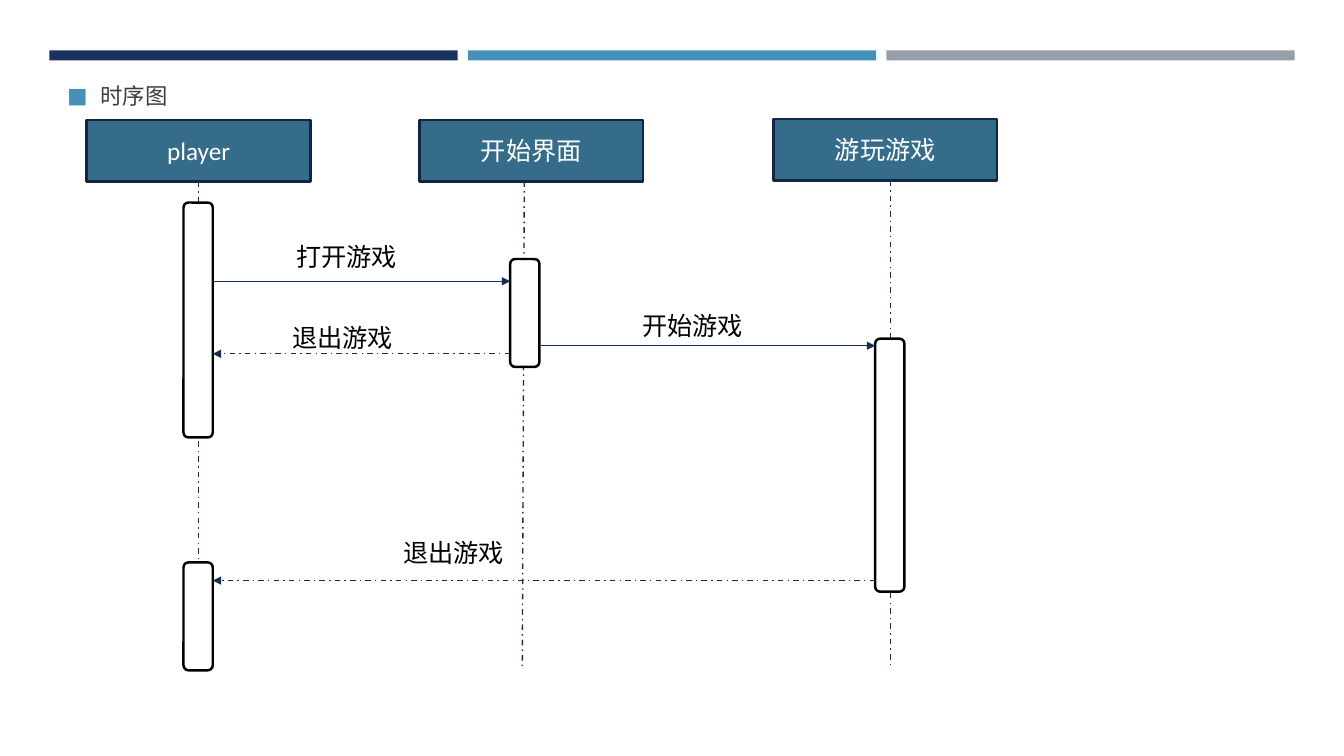
from lxml.etree import SubElement
from pptx import Presentation
from pptx.dml.color import RGBColor
from pptx.enum.dml import MSO_LINE
from pptx.enum.shapes import MSO_CONNECTOR, MSO_SHAPE
from pptx.enum.text import MSO_ANCHOR, PP_ALIGN
from pptx.oxml.ns import qn
from pptx.util import Inches, Pt

COLORS = {
    "navy": "1A3260", "blue": "4590B8", "grey": "969FA7",
    "head": "346C8A", "edge": "132547", "line": "172D56",
    "text": "3D3D3D", "black": "000000", "white": "FFFFFF",
}
CJK = "Noto Sans CJK SC"
LABEL = {"name": "Calibri", "size": Pt(18)}
TITLE = {"name": CJK, "size": Pt(16)}
MIDDLE = {"word_wrap": True, "vertical_anchor": MSO_ANCHOR.MIDDLE}
TOP = {"word_wrap": True, "vertical_anchor": MSO_ANCHOR.TOP}

BAR_W = 0.29
HEAD_W, HEAD_H = 2.22, 0.61
LIFE_END = 6.64


def rgb(name):
    return RGBColor.from_string(COLORS[name])


def apply(target, values):
    for key, value in values.items():
        setattr(target, key, value)


def write(shape, text, color, font=LABEL, frame=MIDDLE, align=PP_ALIGN.CENTER):
    apply(shape.text_frame, frame)
    para = shape.text_frame.paragraphs[0]
    para.alignment = align
    run = para.add_run()
    run.text = text
    apply(run.font, font)
    run.font.color.rgb = rgb(color)
    SubElement(run.font._element, qn("a:ea"), typeface=CJK)
    return para


def add_box(slide, kind, place, fill, edge=None):
    box = slide.shapes.add_shape(kind, *map(Inches, place))
    box.shadow.inherit = False
    box.fill.solid()
    box.fill.fore_color.rgb = rgb(fill)
    if edge:
        box.line.color.rgb = rgb(edge)
        box.line.width = Pt(1.75)
    else:
        box.line.fill.background()
    return box


def add_text(slide, place, text, color, **style):
    box = slide.shapes.add_textbox(*map(Inches, place))
    return write(box, text, color, **style)


def add_line(slide, start, end, dashed=False, arrow=False):
    ends = map(Inches, (*start, *end))
    link = slide.shapes.add_connector(MSO_CONNECTOR.STRAIGHT, *ends)
    link.line.color.rgb = rgb("line")
    link.line.width = Pt(1)
    if dashed:
        link.line.dash_style = MSO_LINE.DASH_DOT
    props = link._element.spPr
    if arrow:
        SubElement(props.find(qn("a:ln")), qn("a:tailEnd"), type="triangle")
    SubElement(props, qn("a:effectLst"))


def add_title(slide, text):
    para = add_text(slide, (0.21, 0.77, 7.46, 0.82), text, "text",
                    font=TITLE, frame=TOP, align=PP_ALIGN.LEFT)
    para.space_after = Pt(6)
    props = para._p.get_or_add_pPr()
    props.set("marL", str(Inches(0.69)))
    props.set("indent", str(Inches(-0.33)))
    tint = SubElement(props, qn("a:buClr"))
    SubElement(tint, qn("a:srgbClr"), val=COLORS["blue"])
    SubElement(props, qn("a:buSzPct"), val="92000")
    SubElement(props, qn("a:buFont"), typeface=CJK)
    SubElement(props, qn("a:buChar"), char="■")


def add_actor(slide, name, left, top, axis, foot):
    """Draw a header and the lifeline from axis down to foot."""
    head = add_box(slide, MSO_SHAPE.RECTANGLE, (left, top, HEAD_W, HEAD_H),
                   "head", "edge")
    write(head, name, "white")
    add_line(slide, (axis, top + HEAD_H), (foot, LIFE_END), dashed=True)


def main():
    deck = Presentation()
    deck.slide_width, deck.slide_height = Inches(13.33), Inches(7.5)
    slide = deck.slides.add_slide(deck.slide_layouts[6])

    for col, color in enumerate(("navy", "blue", "grey")):
        add_box(slide, MSO_SHAPE.RECTANGLE,
                (0.49 + 4.15 * col, 0.5, 4.05, 0.1), color)
    add_title(slide, "时序图")

    for actor in (("player", 0.86, 1.19, 1.97, 1.97),
                  ("开始界面", 4.16, 1.19, 5.2, 5.18),
                  ("游玩游戏", 7.67, 1.18, 8.83, 8.83)):
        add_actor(slide, *actor)

    player, start, game = 1.82, 5.06, 8.68
    for left, top, height in ((player, 2.01, 2.33), (start, 2.57, 1.07),
                              (game, 3.36, 2.51), (player, 5.58, 1.07)):
        add_box(slide, MSO_SHAPE.ROUNDED_RECTANGLE,
                (left, top, BAR_W, height), "white", "black")

    calls = (
        ("打开游戏", player + BAR_W, start, 2.79, False, 2.71, 2.32),
        ("退出游戏", start, player + BAR_W, 3.51, True, 2.67, 3.13),
        ("开始游戏", start + BAR_W, game, 3.43, False, 6.14, 3.01),
        ("退出游戏", game, player + BAR_W, 5.76, True, 3.77, 5.26),
    )
    for text, begin, end, level, dashed, left, top in calls:
        add_line(slide, (begin, level), (end, level), dashed, arrow=True)
        add_text(slide, (left, top, 1.46, 0.44), text, "black")

    deck.save("out.pptx")


if __name__ == "__main__":
    main()
